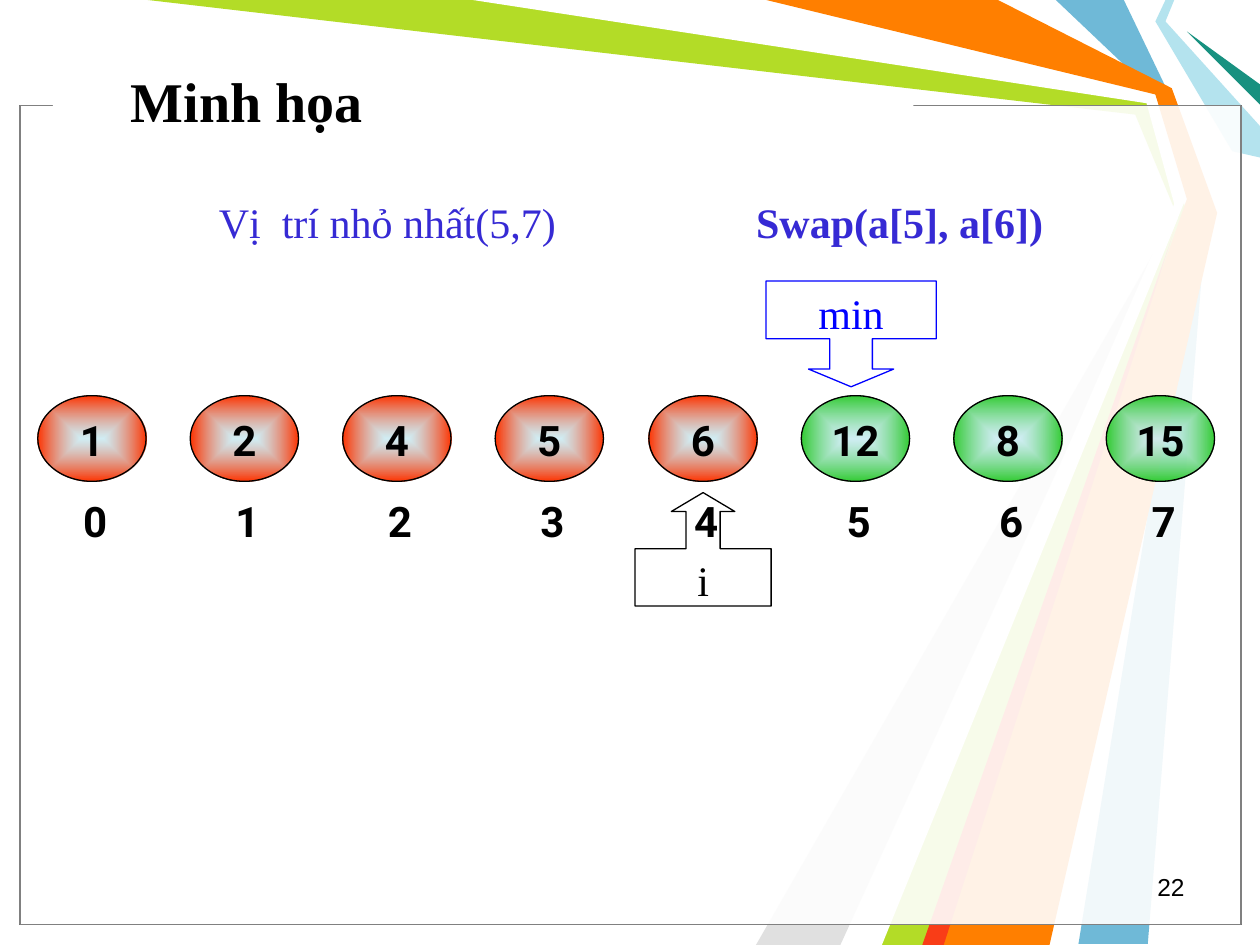
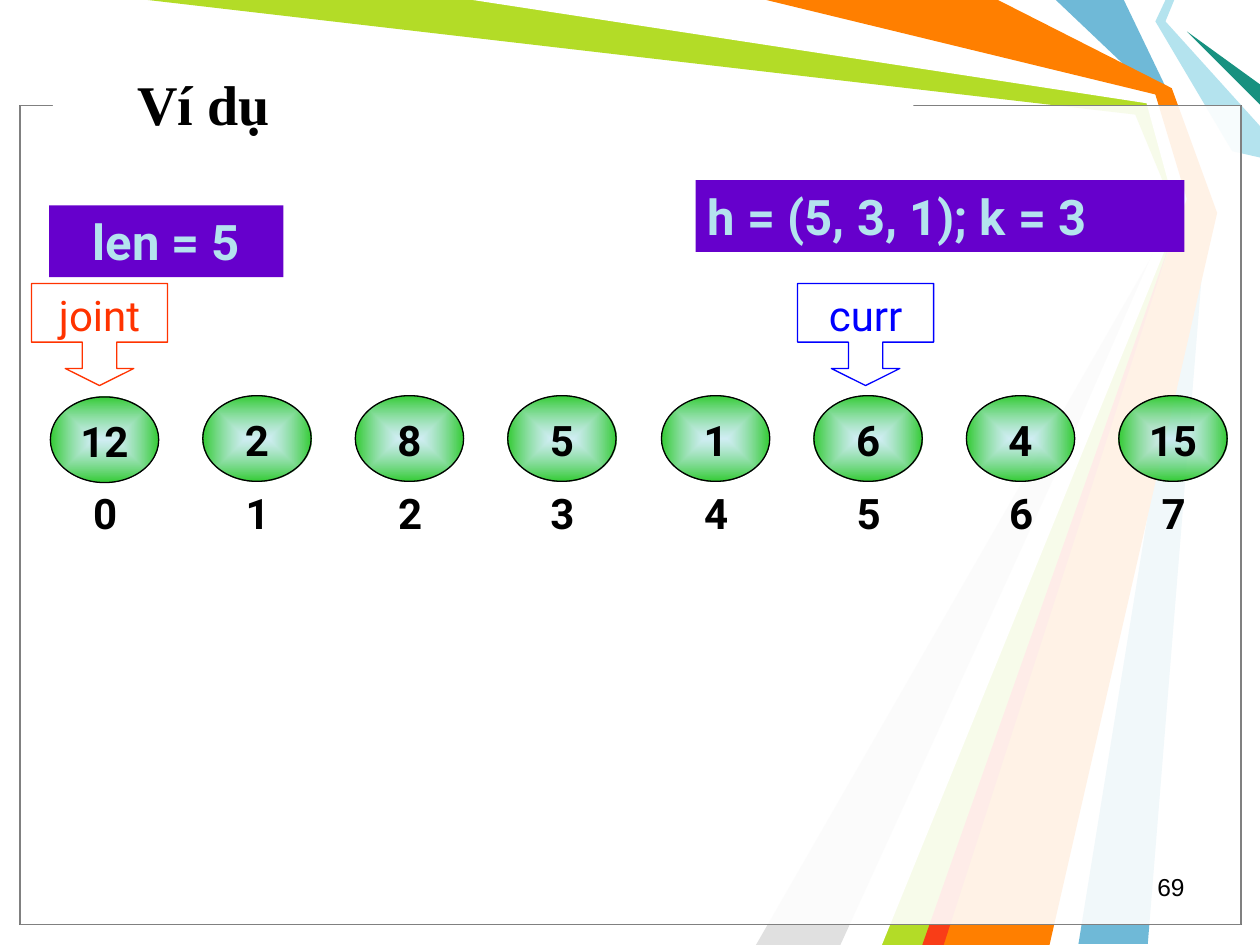
from lxml import etree
from pptx import Presentation
from pptx.dml.color import RGBColor
from pptx.enum.shapes import MSO_SHAPE
from pptx.enum.text import MSO_ANCHOR, MSO_AUTO_SIZE, PP_ALIGN
from pptx.oxml import parse_xml
from pptx.oxml.ns import nsdecls, qn
from pptx.util import Pt

PX = 9144  # 100 px to the inch
COLORS = {
    "black": "000000", "white": "FFFFFF", "gray": "808080", "silver": "E0E0E0",
    "sky": "6FB9D7", "lime": "B3DC27", "ice": "B4E3EE", "teal": "189180",
    "orange": "FF7F00", "scarlet": "F93D17", "red": "FF3300", "green": "33CC33",
    "blue": "0000FF", "indigo": "362AD4", "purple": "6600CC",
}
SERIF, SANS = "Times New Roman", "Roboto"

RAYS = [
    ("sky", [(892, 0), (929, 77), (958, 167), (911, 749), (856, 749), (950, 167), (917, 75), (838, 0)]),
    ("lime", [(117, 0), (383, 0), (914, 78), (942, 169), (742, 750), (692, 750), (935, 173), (901, 91)]),
    ("silver", [(667, 750), (927, 181), (600, 750)]),
    ("white", [(375, 0), (910, 82), (932, 162), (675, 750), (700, 750), (941, 158), (917, 75), (600, 0)]),
    ("ice", [(925, 0), (917, 17), (978, 120), (1000, 125), (1000, 100), (925, 17), (932, 0)]),
    ("teal", [(1000, 83), (942, 25), (1000, 67)]),
    ("orange", [(608, 0), (792, 0), (930, 70), (966, 169), (833, 750), (733, 750), (942, 158), (917, 75)]),
    ("scarlet", [(732, 750), (932, 183), (749, 750)]),
]

UP, DOWN = MSO_SHAPE.UP_ARROW_CALLOUT, MSO_SHAPE.DOWN_ARROW_CALLOUT
CURSOR_SHAPE = (0.336, 0.336, 0.167, 0.575)
# nodes: (value, rim colour); callouts: preset, adjustments, place, text, font, colour
# banners: place, text, font, size, bold, colour, fill, alignment
SLIDES = [
    {
        "title": "Minh họa", "title_at": (94, 17, 689, 125), "number": "22",
        "nodes": [(value, "red") for value in (1, 2, 4, 5, 6)] + [(value, "green") for value in (12, 8, 15)],
        "nodes_left": 30, "first_top": 314, "indexes_at": (32, 379),
        "callouts": [
            (UP, (0.301, 0.28, 0.167, 0.505), (504, 391, 108, 90), "i", SERIF, "black"),
            (DOWN, (0.402, 0.402, 0.167, 0.546), (608, 223, 135, 84), "min", SERIF, "blue"),
        ],
        "banners": [
            ((136, 151, 343, 50), "Vị  trí nhỏ nhất(5,7)", SERIF, 24, False, "indigo", "white", PP_ALIGN.CENTER),
            ((537, 151, 354, 50), "Swap(a[5], a[6])", SERIF, 24, True, "indigo", "white", PP_ALIGN.CENTER),
        ],
    },
    {
        "title": "Ví dụ", "title_at": (99, 47, 689, 70), "number": "69",
        "nodes": [(value, "green") for value in (12, 2, 8, 5, 1, 6, 4, 15)],
        "nodes_left": 40, "first_top": 315, "indexes_at": (40, 372),
        "callouts": [
            (DOWN, CURSOR_SHAPE, (633, 225, 108, 81), "curr", SANS, "blue"),
            (DOWN, CURSOR_SHAPE, (25, 225, 108, 81), "joint", SANS, "red"),
        ],
        "banners": [
            ((552, 143, 388, 57), "h = (5, 3, 1); k = 3", SANS, 28, True, "ice", "purple", PP_ALIGN.LEFT),
            ((39, 163, 186, 57), "len = 5", SANS, 28, True, "ice", "purple", PP_ALIGN.CENTER),
        ],
    },
]


def add_box(page, preset, place, fill=None, line=None):
    """Add a shape without shadow; fill and line are colour names or None."""
    box = page.shapes.add_shape(preset, *[length * PX for length in place])
    box.shadow.inherit = False
    if fill:
        box.fill.solid()
        box.fill.fore_color.rgb = RGBColor.from_string(COLORS[fill])
    else:
        box.fill.background()
    if line:
        box.line.color.rgb = RGBColor.from_string(COLORS[line])
        box.line.width = Pt(0.75)
    else:
        box.line.fill.background()
    return box


def write(box, text, font, size, bold=False, color="black", align=PP_ALIGN.CENTER,
          anchor=MSO_ANCHOR.TOP, grow=True):
    """Put one line of text in a box; growing boxes get half a line of space before."""
    frame = box.text_frame
    frame.text = text
    frame.word_wrap = True
    frame.vertical_anchor = anchor
    para = frame.paragraphs[0]
    para.alignment = align
    if grow:
        frame.auto_size = MSO_AUTO_SIZE.SHAPE_TO_FIT_TEXT
        before = etree.SubElement(para._p.get_or_add_pPr(), qn("a:spcBef"))
        etree.SubElement(before, qn("a:spcPct")).set("val", "50000")
    span = para.runs[0]
    span.font.name = font
    span.font.size = Pt(size)
    span.font.bold = bold
    span.font.color.rgb = RGBColor.from_string(COLORS[color])


deck = Presentation()
deck.slide_width, deck.slide_height = 1000 * PX, 750 * PX

for content in SLIDES:
    page = deck.slides.add_slide(deck.slide_layouts[6])

    # Rays, translucent frame and the gap for the title
    for color, points in RAYS:
        outline = page.shapes.build_freeform(*points[0], scale=PX)
        outline.add_line_segments(points[1:], close=True)
        ray = outline.convert_to_shape()
        ray.shadow.inherit = False
        ray.fill.solid()
        ray.fill.fore_color.rgb = RGBColor.from_string(COLORS[color])
        ray.line.fill.background()
    for line in ("black", "gray"):
        panel = add_box(page, MSO_SHAPE.RECTANGLE, (16, 84, 969, 650), "white", line)
        tint = panel._element.spPr.find(qn("a:solidFill"))[0]
        etree.SubElement(tint, qn("a:alpha")).set("val", "69000")
    add_box(page, MSO_SHAPE.RECTANGLE, (42, 74, 683, 17), "white")

    title = page.shapes.add_textbox(*[length * PX for length in content["title_at"]])
    write(title, content["title"], SERIF, 32, True, align=PP_ALIGN.LEFT, anchor=MSO_ANCHOR.MIDDLE, grow=False)
    number = page.shapes.add_textbox(717 * PX, 687 * PX, 233 * PX, 33 * PX)
    write(number, content["number"], "Arial", 14, align=PP_ALIGN.RIGHT, grow=False)

    # Array elements, evenly spread over the width
    offsets = [round(index * 848 / 7) for index in range(8)]
    for index, (value, rim) in enumerate(content["nodes"]):
        top = 314 if index else content["first_top"]
        node = add_box(page, MSO_SHAPE.OVAL, (content["nodes_left"] + offsets[index], top, 86, 68), line="black")
        properties = node._element.spPr
        gradient = parse_xml(
            f'<a:gradFill {nsdecls("a")} rotWithShape="1"><a:gsLst>'
            f'<a:gs pos="0"><a:srgbClr val="{COLORS["ice"]}"><a:alpha val="60000"/></a:srgbClr></a:gs>'
            f'<a:gs pos="100000"><a:srgbClr val="{COLORS[rim]}"/></a:gs></a:gsLst>'
            '<a:path path="shape"><a:fillToRect l="50000" t="50000" r="50000" b="50000"/></a:path>'
            '</a:gradFill>')
        properties.replace(properties.find(qn("a:noFill")), gradient)
        write(node, str(value), SANS, 24, True)

    for preset, adjustments, place, text, font, color in content["callouts"]:
        callout = add_box(page, preset, place, line=color)
        for position, amount in enumerate(adjustments):
            callout.adjustments[position] = amount
        write(callout, text, font, 24, color=color)

    left, top = content["indexes_at"]
    for index, offset in enumerate(offsets):
        label = add_box(page, MSO_SHAPE.OVAL, (left + offset, top, 87, 66))
        write(label, str(index), SANS, 24, True)

    for place, text, font, size, bold, color, fill, align in content["banners"]:
        banner = add_box(page, MSO_SHAPE.RECTANGLE, place, fill)
        write(banner, text, font, size, bold, color, align)

deck.save("out.pptx")
